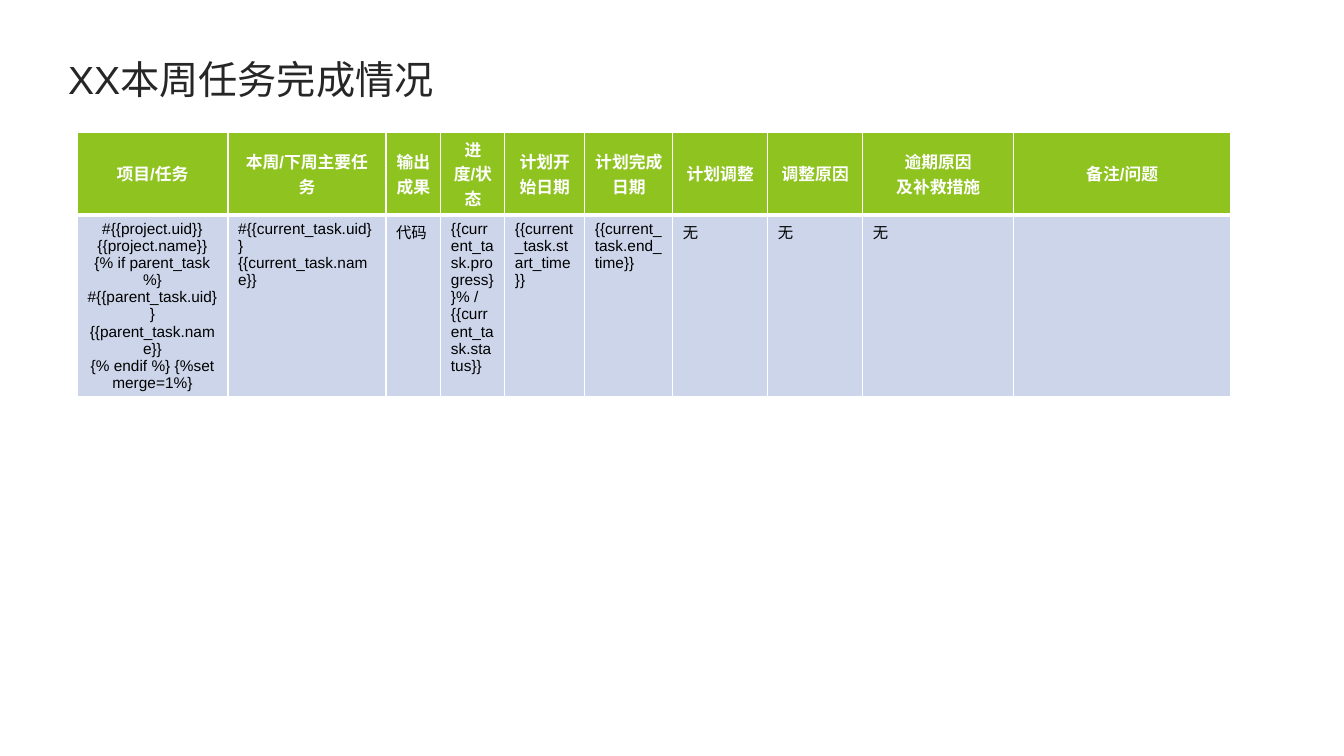
"""Build a weekly task status slide with a title and a report table."""
from dataclasses import dataclass

import pptx
import pptx.dml.color
import pptx.enum.text
import pptx.oxml.ns
import pptx.table
import pptx.util
from lxml import etree

RGBColor = pptx.dml.color.RGBColor
PP_ALIGN = pptx.enum.text.PP_ALIGN
MSO_ANCHOR = pptx.enum.text.MSO_ANCHOR

WHITE = RGBColor(0xFF, 0xFF, 0xFF)
BLACK = RGBColor(0x00, 0x00, 0x00)
CHARCOAL = RGBColor(0x26, 0x26, 0x26)
GREEN = RGBColor(0x8F, 0xC3, 0x20)
PALE_BLUE = RGBColor(0xCC, 0xD5, 0xEA)

FONT = "Arial"
PX_PER_INCH = 100.8


@dataclass(frozen=True)
class Column:
    width: int
    heading: str
    body: str
    centred: bool = False


@dataclass(frozen=True)
class RowStyle:
    height: int
    size: int
    bold: bool
    color: RGBColor
    fill: RGBColor
    borders: dict[str, int]


COLUMNS = [
    Column(
        151,
        "项目/任务",
        "#{{project.uid}} {{project.name}}\n{% if parent_task %}\n"
        "#{{parent_task.uid}} {{parent_task.name}}\n{% endif %} {%set merge=1%}",
        centred=True,
    ),
    Column(158, "本周/下周主要任务", "#{{current_task.uid}}\n{{current_task.name}}"),
    Column(55, "输出成果", "代码"),
    Column(64, "进度/状态", "{{current_task.progress}}% / {{current_task.status}}"),
    Column(80, "计划开始日期", "{{current_task.start_time}}"),
    Column(88, "计划完成日期", "{{current_task.end_time}}"),
    Column(95, "计划调整", "无"),
    Column(95, "调整原因", "无"),
    Column(151, "逾期原因\n及补救措施", "无"),
    Column(217, "备注/问题", ""),
]
HEADER = RowStyle(80, 12, True, WHITE, GREEN, {"lnL": 1, "lnR": 1, "lnT": 1, "lnB": 3})
BODY = RowStyle(64, 11, False, BLACK, PALE_BLUE, {"lnL": 1, "lnR": 1, "lnT": 3, "lnB": 1})


def px(n: int) -> pptx.util.Emu:
    """Turn pixels into EMU."""
    return pptx.util.Emu(round(n * pptx.util.Inches(1) / PX_PER_INCH))


def style_text(tf, size: int, color: RGBColor, bold: bool, align: PP_ALIGN) -> None:
    """Format every paragraph and run of a text frame."""
    for p in tf.paragraphs:
        p.alignment = align
        p.font.size = pptx.util.Pt(size)
        for r in p.runs:
            r.font.name = FONT
            r.font.size = pptx.util.Pt(size)
            r.font.bold = bold
            r.font.color.rgb = color


def add_borders(cell: pptx.table._Cell, borders: dict[str, int]) -> None:
    """Draw white borders of the given point widths around a cell."""
    qn = pptx.oxml.ns.qn
    tc_pr = cell._tc.get_or_add_tcPr()
    for side, width in borders.items():
        ln = etree.SubElement(tc_pr, qn(f"a:{side}"), w=str(pptx.util.Pt(width)))
        fill = etree.SubElement(ln, qn("a:solidFill"))
        etree.SubElement(fill, qn("a:srgbClr"), val=str(WHITE))


def fill_cell(cell: pptx.table._Cell, text: str, style: RowStyle, centred: bool) -> None:
    """Write and format one table cell."""
    add_borders(cell, style.borders)
    cell.fill.solid()
    cell.fill.fore_color.rgb = style.fill
    cell.vertical_anchor = MSO_ANCHOR.MIDDLE if centred else MSO_ANCHOR.TOP
    cell.text_frame.text = text
    align = PP_ALIGN.CENTER if centred else PP_ALIGN.LEFT
    style_text(cell.text_frame, style.size, style.color, style.bold, align)


def add_title(s) -> None:
    """Fill and place the title placeholder."""
    sp = s.shapes.title
    sp.left, sp.top, sp.width, sp.height = px(58), px(34), px(1218), px(89)
    tf = sp.text_frame
    tf.text = "XX本周任务完成情况"
    tf.vertical_anchor = MSO_ANCHOR.MIDDLE
    style_text(tf, 28, CHARCOAL, False, PP_ALIGN.LEFT)


def add_task_table(s) -> None:
    """Add the task table with its header and template row."""
    width = sum(c.width for c in COLUMNS)
    sp = s.shapes.add_table(2, len(COLUMNS), px(77), px(132), px(width), px(256))
    table = sp.table
    table.horz_banding = False
    for row, style in zip(table.rows, (HEADER, BODY)):
        row.height = px(style.height)
    for i, column in enumerate(COLUMNS):
        table.columns[i].width = px(column.width)
        fill_cell(table.cell(0, i), column.heading, HEADER, True)
        fill_cell(table.cell(1, i), column.body, BODY, column.centred)
    sp.height = px(256)


def main() -> None:
    """Create and save the presentation."""
    prs = pptx.Presentation()
    prs.slide_width, prs.slide_height = px(1344), px(756)
    s = prs.slides.add_slide(prs.slide_layouts[5])
    add_title(s)
    add_task_table(s)
    prs.save("out.pptx")


if __name__ == "__main__":
    main()
